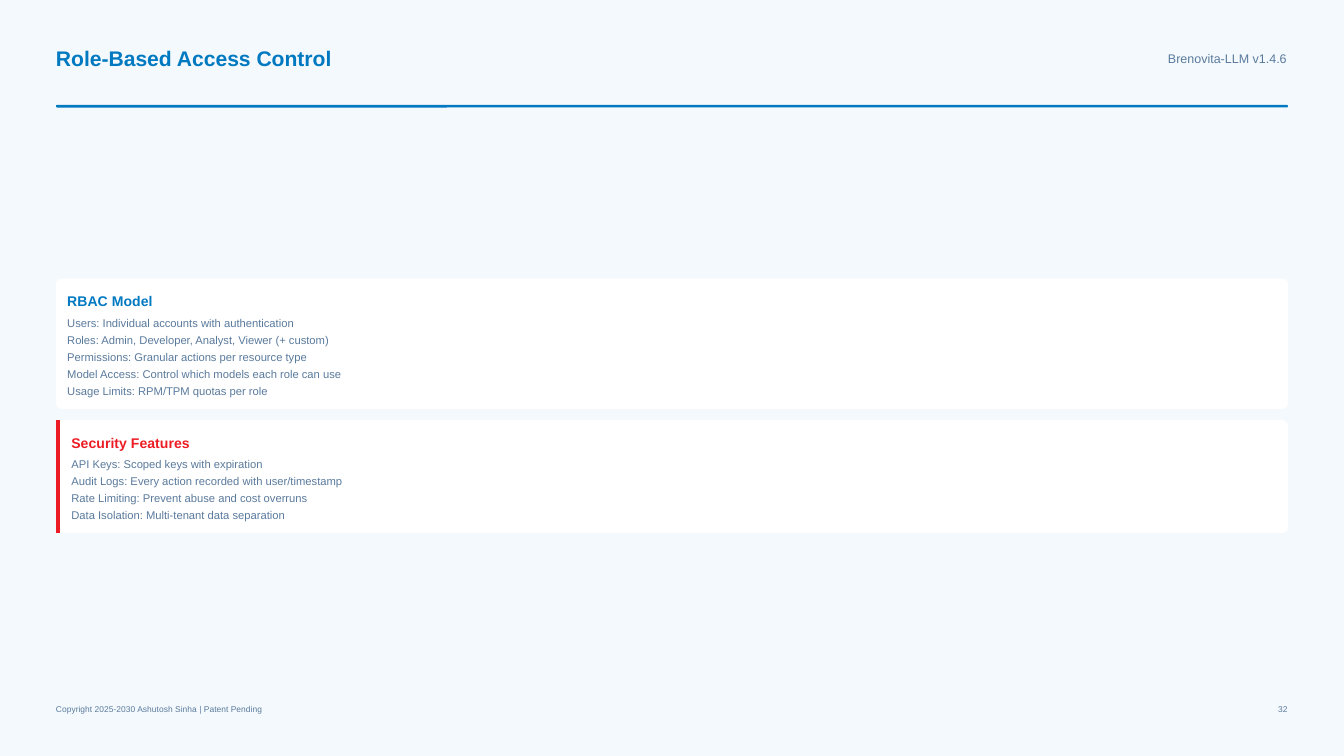
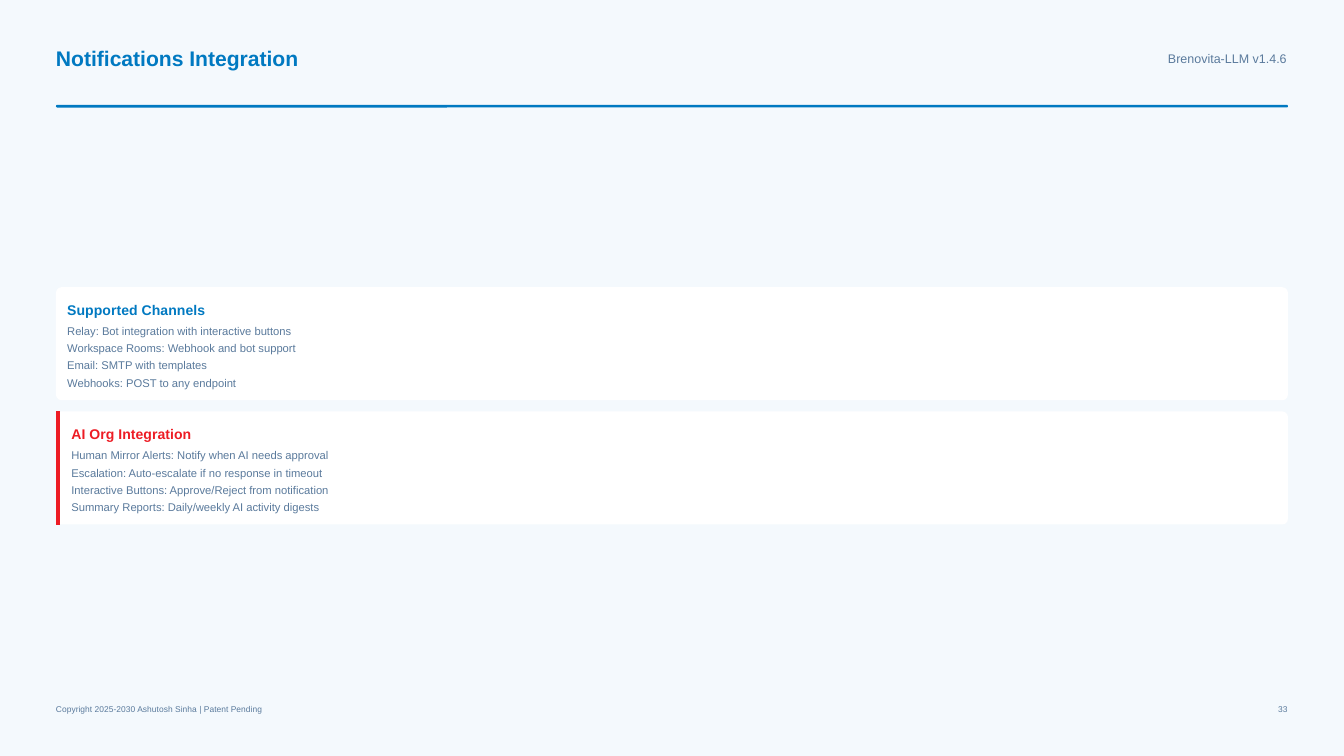
import pptx
import pptx.util
import pptx.dml.color
import pptx.enum.shapes
import pptx.enum.text
import pptx.oxml.ns
import lxml.etree
import dataclasses

Inches = pptx.util.Inches
Pt = pptx.util.Pt
Color = pptx.dml.color.RGBColor.from_string
Align = pptx.enum.text.PP_ALIGN


@dataclasses.dataclass(frozen=True)
class Theme:
    font: str = "Arial"
    leading: float = 1.4
    background: str = "F4F9FD"
    card: str = "FFFFFF"
    blue: str = "0079C1"
    red: str = "ED1C24"
    muted: str = "5A7A9C"
    title_size: float = 11.25
    version_size: float = 6.75
    heading_size: float = 7.5
    body_size: float = 6
    footer_size: float = 4.5


theme = Theme()

# Page geometry, in inches
PAGE_WIDTH = 10
PAGE_HEIGHT = PAGE_WIDTH * 9 / 16
MARGIN = 5 / 12
CONTENT_WIDTH = PAGE_WIDTH - 2 * MARGIN
BODY_CENTRE = 3.02
CARD_GAP = CARD_PADDING = 1 / 12
CARD_RADIUS = 1 / 24
FIRST_LINE, CARD_FRAME = 0.26, 0.33
LINE_PITCH = 9.2 / 72
ACCENT_WIDTH = 1 / 32

# Each slide: title, page number, and its cards as (heading, lines)
pages = [
    ("Role-Based Access Control", 32, [
        ("RBAC Model", [
            "Users: Individual accounts with authentication",
            "Roles: Admin, Developer, Analyst, Viewer (+ custom)",
            "Permissions: Granular actions per resource type",
            "Model Access: Control which models each role can use",
            "Usage Limits: RPM/TPM quotas per role",
        ]),
        ("Security Features", [
            "API Keys: Scoped keys with expiration",
            "Audit Logs: Every action recorded with user/timestamp",
            "Rate Limiting: Prevent abuse and cost overruns",
            "Data Isolation: Multi-tenant data separation",
        ]),
    ]),
    ("Notifications Integration", 33, [
        ("Supported Channels", [
            "Relay: Bot integration with interactive buttons",
            "Workspace Rooms: Webhook and bot support",
            "Email: SMTP with templates",
            "Webhooks: POST to any endpoint",
        ]),
        ("AI Org Integration", [
            "Human Mirror Alerts: Notify when AI needs approval",
            "Escalation: Auto-escalate if no response in timeout",
            "Interactive Buttons: Approve/Reject from notification",
            "Summary Reports: Daily/weekly AI activity digests",
        ]),
    ]),
]


def write(page, text, left, top, width, height, size, color,
          bold=False, align=Align.LEFT, box=None):
    """Put one line of text in a new text box, or in the given placeholder."""
    area = [Inches(value) for value in (left, top, width, height)]
    if box is None:
        box = page.shapes.add_textbox(*area)
    box.left, box.top, box.width, box.height = area
    frame = box.text_frame
    frame.text = text
    frame.word_wrap = True
    frame.auto_size = pptx.enum.text.MSO_AUTO_SIZE.NONE
    frame.vertical_anchor = pptx.enum.text.MSO_ANCHOR.TOP
    frame.margin_left = frame.margin_right = frame.margin_top = frame.margin_bottom = 0
    para = frame.paragraphs[0]
    para.alignment = align
    para.line_spacing = Pt(size * theme.leading)
    para.space_before = Pt(0)
    font = para.runs[0].font
    font.name, font.size, font.bold = theme.font, Pt(size), bold
    font.color.rgb = Color(color)


def rounded(page, top, height, fill, radius):
    """Draw a rounded bar or card across the content width."""
    shape = page.shapes.add_shape(
        pptx.enum.shapes.MSO_SHAPE.ROUNDED_RECTANGLE,
        Inches(MARGIN), Inches(top), Inches(CONTENT_WIDTH), Inches(height))
    shape.adjustments[0] = radius / height
    shape.shadow.inherit = False
    shape.fill.solid()
    shape.fill.fore_color.rgb = Color(fill)
    shape.line.fill.background()


deck = pptx.Presentation()
deck.slide_width, deck.slide_height = Inches(PAGE_WIDTH), Inches(PAGE_HEIGHT)
backdrop = deck.slide_master.background.fill
backdrop.solid()
backdrop.fore_color.rgb = Color(theme.background)

for title, number, cards in pages:
    page = deck.slides.add_slide(deck.slide_layouts[5])

    # Header
    write(page, title, MARGIN, 0.31, 2.08, 0.22, theme.title_size, theme.blue,
          bold=True, box=page.shapes.title)
    write(page, "Brenovita-LLM v1.4.6", 8.69, 0.36, 0.91, 0.13,
          theme.version_size, theme.muted)
    rounded(page, 0.78, 0.02, theme.blue, 0.01)

    # Cards, stacked and centred in the body; the second has a red edge
    heights = [CARD_FRAME + len(lines) * LINE_PITCH for heading, lines in cards]
    top = BODY_CENTRE - (sum(heights) + CARD_GAP * (len(cards) - 1)) / 2
    for index, ((heading, lines), height) in enumerate(zip(cards, heights)):
        rounded(page, top, height, theme.card, CARD_RADIUS)
        text_left, text_width, color = MARGIN + CARD_PADDING, 9.18, theme.blue
        if index == 1:
            text_left, text_width, color = text_left + ACCENT_WIDTH, 9.15, theme.red
            edge_x = Inches(MARGIN + ACCENT_WIDTH / 2)
            edge = page.shapes.add_connector(
                pptx.enum.shapes.MSO_CONNECTOR.STRAIGHT,
                edge_x, Inches(top), edge_x, Inches(top + height))
            edge.line.color.rgb = Color(theme.red)
            edge.line.width = Pt(2.25)
            lxml.etree.SubElement(edge._element.spPr, pptx.oxml.ns.qn("a:effectLst"))
        write(page, heading, text_left, top + CARD_PADDING, text_width, 0.15,
              theme.heading_size, color, bold=True)
        for row, line in enumerate(lines):
            write(page, line, text_left, top + FIRST_LINE + row * LINE_PITCH,
                  text_width, 0.12, theme.body_size, theme.muted)
        top += height + CARD_GAP

    # Footer
    write(page, "Copyright 2025-2030 Ashutosh Sinha | Patent Pending",
          MARGIN, 5.23, 1.56, 0.09, theme.footer_size, theme.muted)
    write(page, str(number), 9.49, 5.23, 0.09, 0.09,
          theme.footer_size, theme.muted, align=Align.RIGHT)

deck.save("out.pptx")
